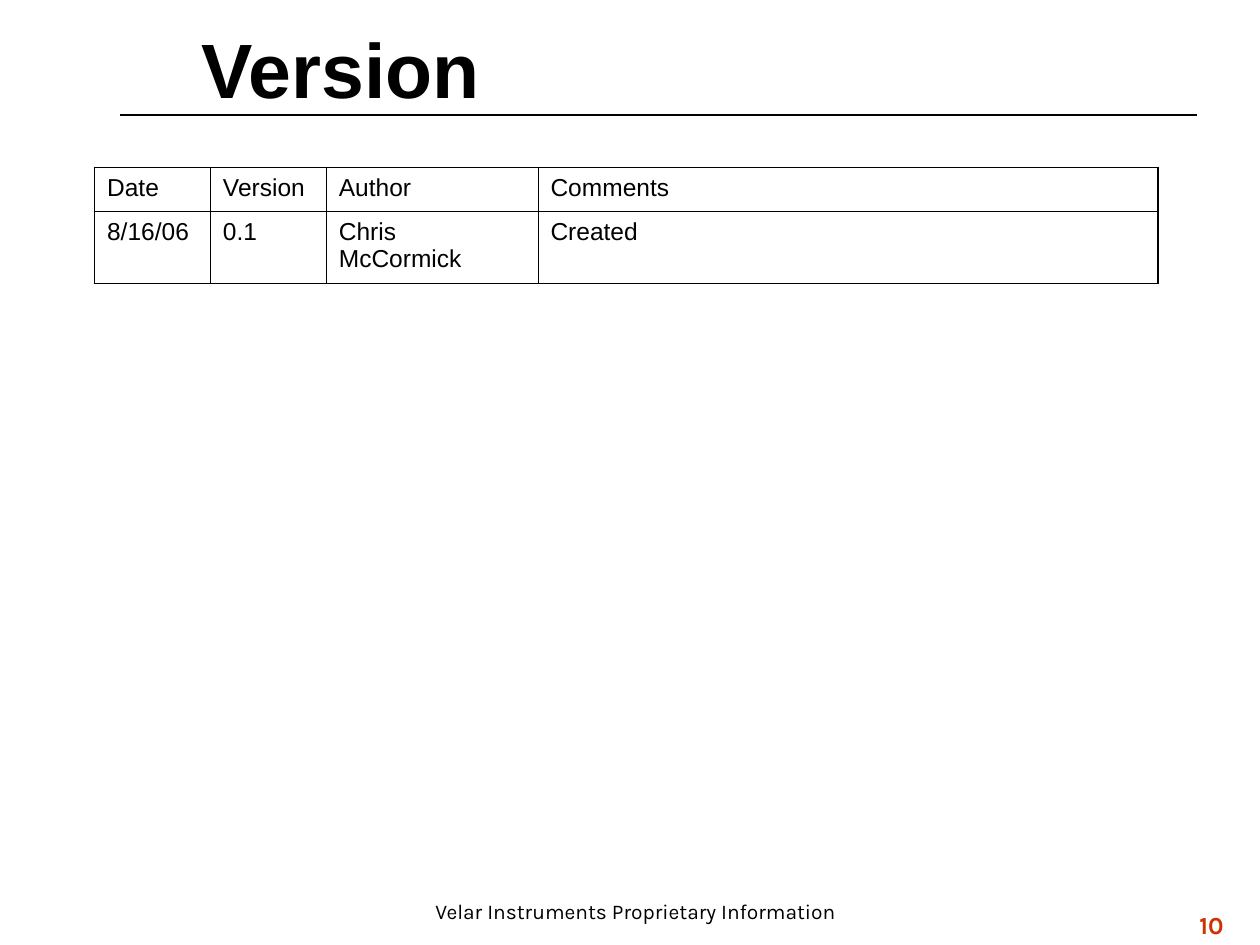
from lxml.etree import SubElement
from pptx import Presentation
from pptx.dml.color import RGBColor
from pptx.enum.shapes import MSO_CONNECTOR
from pptx.enum.text import MSO_ANCHOR, PP_ALIGN
from pptx.oxml import parse_xml
from pptx.oxml.ns import nsdecls, qn
from pptx.util import Inches, Pt

BLACK = RGBColor(0x00, 0x00, 0x00)
WHITE = RGBColor(0xFF, 0xFF, 0xFF)
RED = RGBColor(0xCC, 0x33, 0x00)
OUTER_WIDTH = Pt(1.08)
INNER_WIDTH = Pt(0.45)


def style_text(text_frame, font_name, size, color=BLACK, bold=False):
    paragraph = text_frame.paragraphs[0]
    for run in paragraph.runs:
        run.font.name = font_name
        run.font.size = Pt(size)
        run.font.color.rgb = color
        run.font.bold = bold
    return paragraph


def set_borders(cell, widths):
    """Draw the left, right, top and bottom borders, in that order."""
    properties = cell._tc.get_or_add_tcPr()
    for index, (side, width) in enumerate(zip("LRTB", widths)):
        border = parse_xml(
            f'<a:ln{side} {nsdecls("a")} w="{int(width)}"><a:solidFill>'
            f'<a:srgbClr val="{BLACK}"/></a:solidFill></a:ln{side}>'
        )
        properties.insert(index, border)


presentation = Presentation()
presentation.slide_width = Inches(10)
presentation.slide_height = Inches(7.5)
slide = presentation.slides.add_slide(presentation.slide_layouts[6])
slide.background.fill.solid()
slide.background.fill.fore_color.rgb = WHITE

# Rule below the title
title_rule = slide.shapes.add_connector(
    MSO_CONNECTOR.STRAIGHT, Inches(0.95), Inches(0.91), Inches(9.5), Inches(0.91)
)
title_rule.line.color.rgb = BLACK
title_rule.line.width = Pt(1)
SubElement(title_rule._element.spPr, qn("a:effectLst"))

# Page number, footer and title
text_boxes = [
    ("10", (9.42, 7.17, 0.58, 0.37), "Karla", 14, RED, True, PP_ALIGN.LEFT, MSO_ANCHOR.TOP),
    ("Velar Instruments Proprietary Information", (2.92, 7.08, 4.25, 0.42),
     "Karla", 12, BLACK, False, PP_ALIGN.CENTER, MSO_ANCHOR.TOP),
    ("Version", (1.5, 0, 8.17, 1.08), "Arial", 44, BLACK, True, PP_ALIGN.LEFT, MSO_ANCHOR.MIDDLE),
]
for text, box, font_name, size, color, bold, alignment, anchor in text_boxes:
    text_frame = slide.shapes.add_textbox(*map(Inches, box)).text_frame
    text_frame.word_wrap = True
    text_frame.vertical_anchor = anchor
    text_frame.text = text
    style_text(text_frame, font_name, size, color, bold).alignment = alignment

# Version history
history = [
    ["Date", "Version", "Author", "Comments"],
    ["8/16/06", "0.1", "Chris McCormick", "Created"],
]
column_widths = [0.92, 0.92, 1.68, 4.92]
row_heights = [0.35, 0.57]
last_row = len(row_heights) - 1
last_column = len(column_widths) - 1
table = slide.shapes.add_table(
    len(row_heights), len(column_widths), Inches(0.75), Inches(1.33),
    Inches(sum(column_widths)), Inches(sum(row_heights)),
).table
table.first_row = False
table.horz_banding = False
for column, width in zip(table.columns, column_widths):
    column.width = Inches(width)
for row, height in zip(table.rows, row_heights):
    row.height = Inches(height)

for row_index, values in enumerate(history):
    for column_index, value in enumerate(values):
        cell = table.cell(row_index, column_index)
        cell.text_frame.text = value
        style_text(cell.text_frame, "Arial", 14)
        cell.fill.background()
        on_edge = [column_index == 0, column_index == last_column,
                   row_index == 0, row_index == last_row]
        set_borders(cell, [OUTER_WIDTH if edge else INNER_WIDTH for edge in on_edge])

presentation.save("out.pptx")
